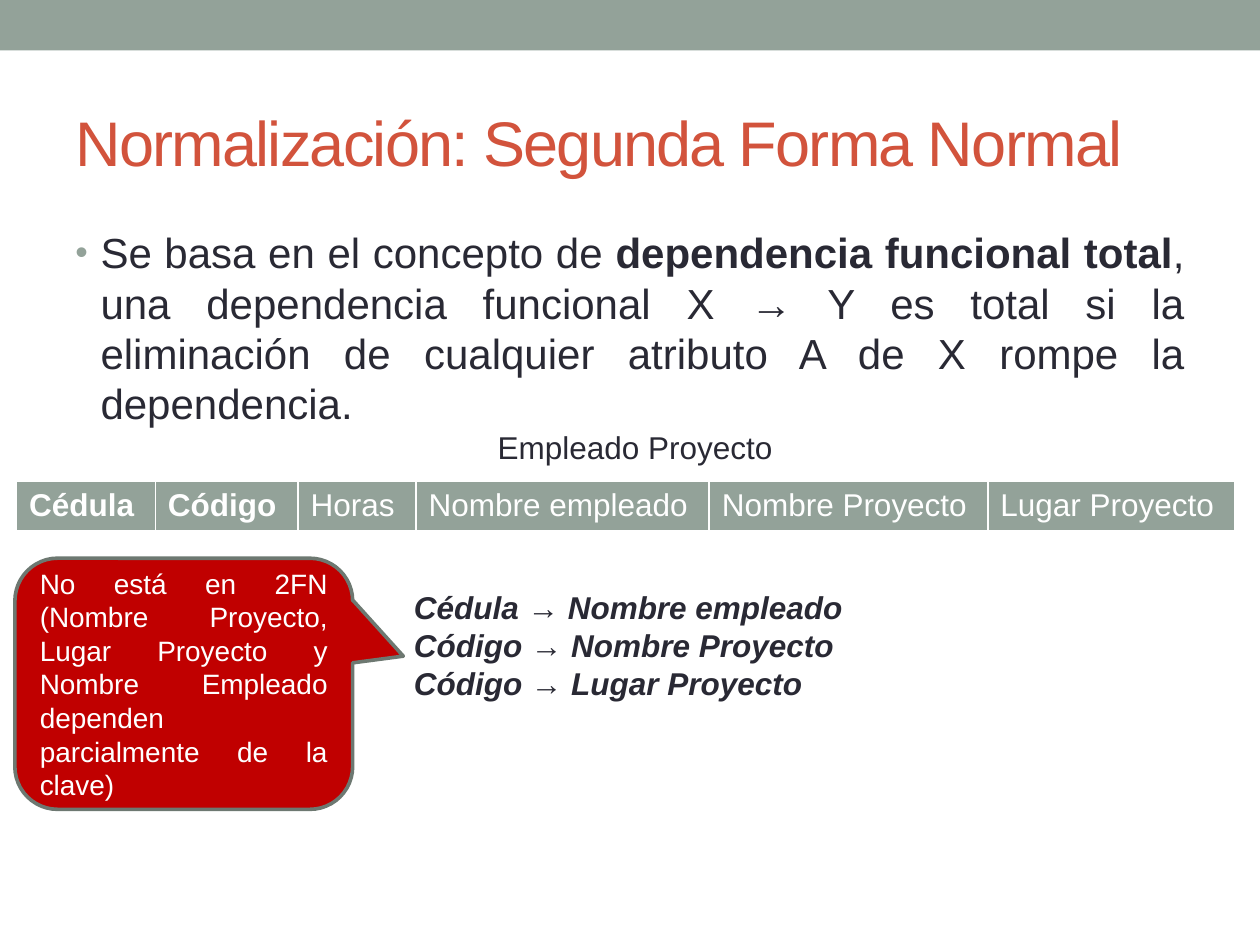
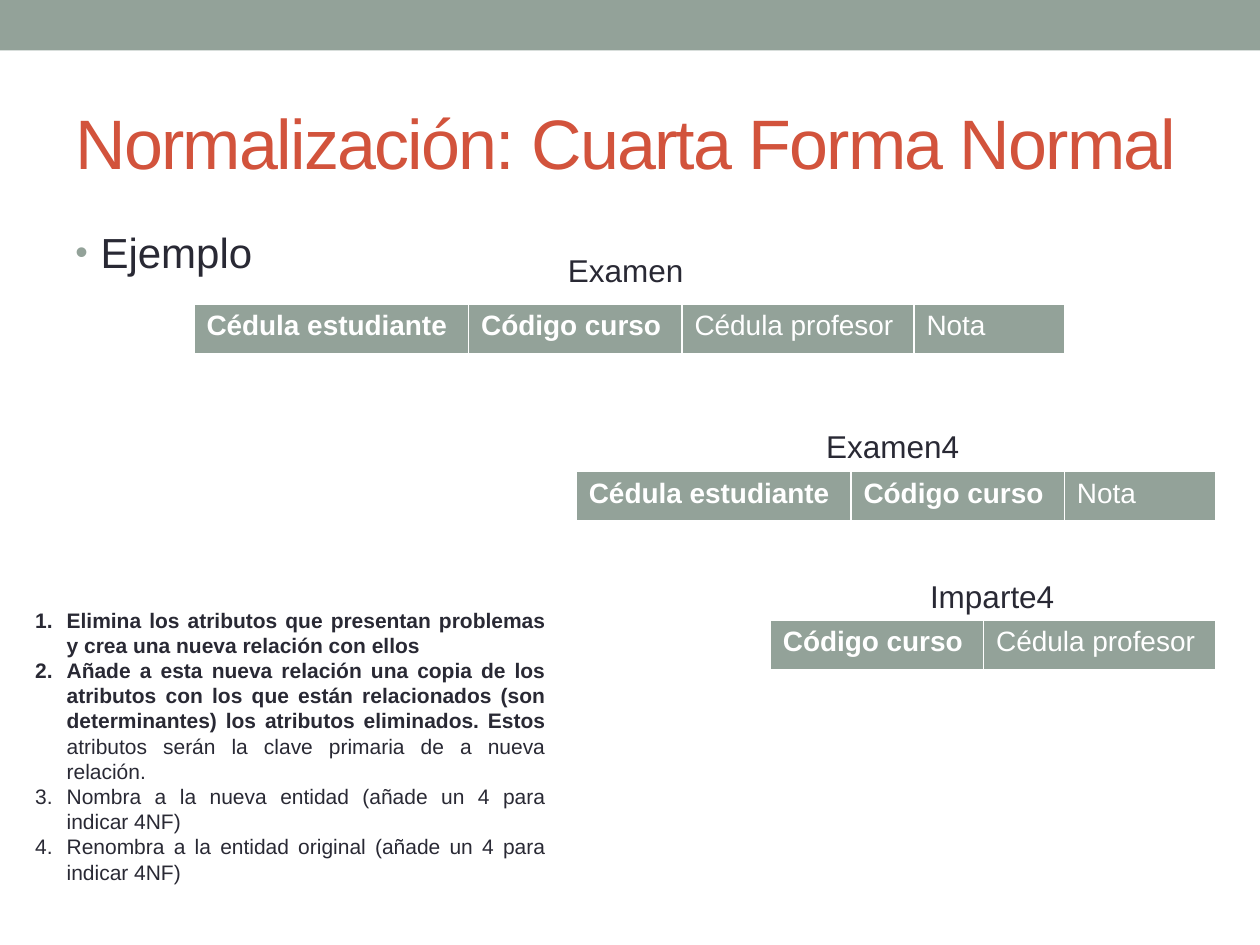
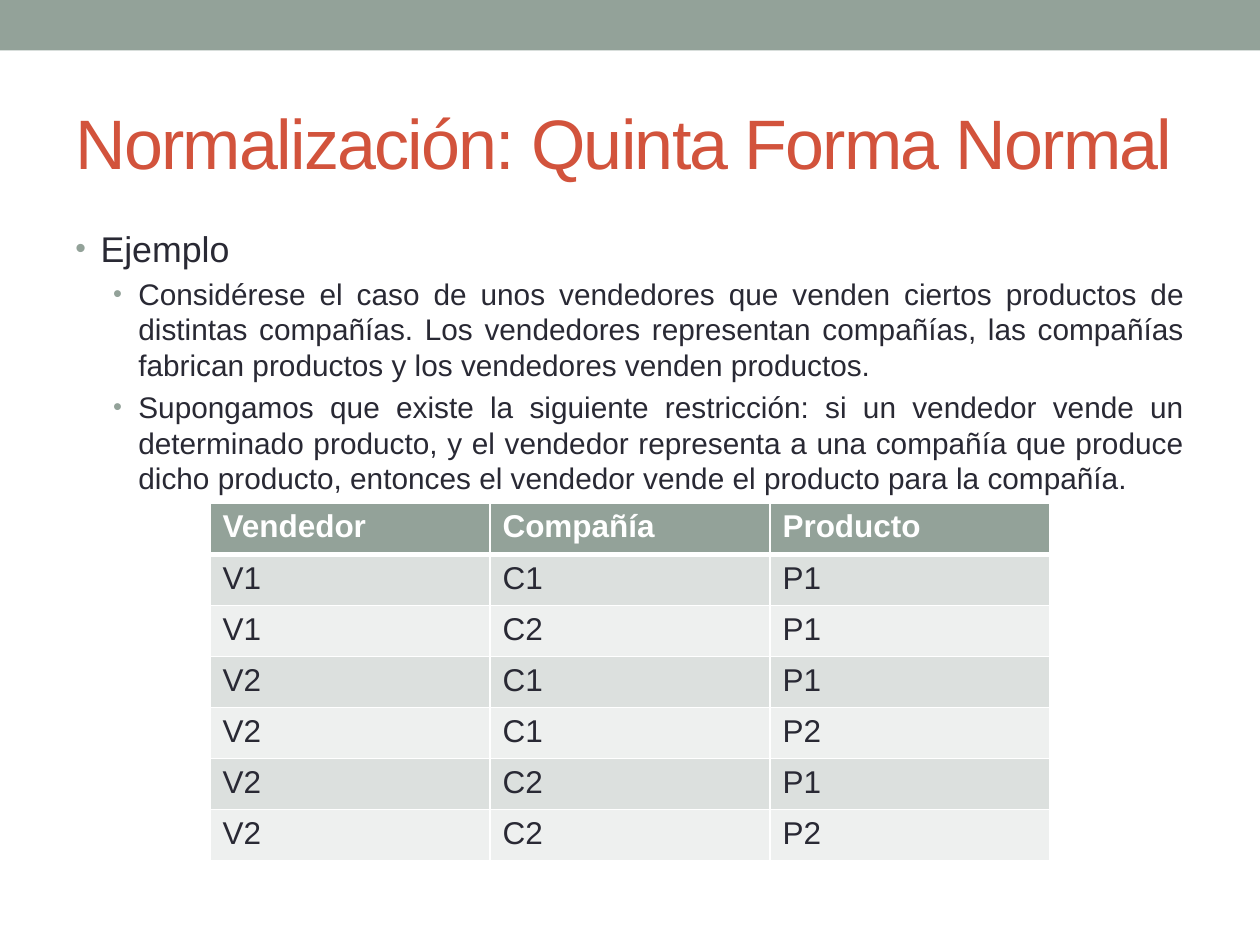
from dataclasses import dataclass

from lxml.etree import SubElement
from pptx import Presentation
from pptx.dml.color import RGBColor
from pptx.enum.shapes import MSO_SHAPE
from pptx.enum.text import MSO_ANCHOR, PP_ALIGN
from pptx.oxml.ns import qn
from pptx.util import Pt


@dataclass(frozen=True)
class Theme:
    """Colours, font and type sizes shared by every slide."""
    sage: str = "93A299"
    sage_outline: str = "6D7871"
    row_dark: str = "DCE0DE"
    row_light: str = "EEF0EF"
    brick: str = "D2533C"
    warning: str = "C00000"
    ink: str = "292934"
    white: str = "FFFFFF"
    font: str = "Arial"
    title: float = 40
    long_title: float = 36
    body: float = 24
    compact_body: float = 20.4
    compact_detail: float = 17
    label: float = 18
    small: float = 16
    steps: float = 12


THEME = Theme()
SLIDE_WIDTH, SLIDE_HEIGHT = 720, 540
ROW_HEIGHT = 29.2
BODY_FRAME = (36, 126, 648, 384)

STUDENT = ("Cédula estudiante", 157, True)
COURSE = ("Código curso", 121.9, True)
TEACHER = ("Cédula profesor", 132.6, False)
GRADE = ("Nota", 86.3, False)
EMPLOYEE_PROJECT = [
    ("Cédula", 79.3, True),
    ("Código", 81.5, True),
    ("Horas", 67.5, False),
    ("Nombre empleado", 167.5, False),
    ("Nombre Proyecto", 159.2, False),
    ("Lugar Proyecto", 141.2, False),
]
SALES = [
    ("V1", "C1", "P1"),
    ("V1", "C2", "P1"),
    ("V2", "C1", "P1"),
    ("V2", "C1", "P2"),
    ("V2", "C2", "P1"),
    ("V2", "C2", "P2"),
]


def colour(value):
    """Turn a hex string into a colour."""
    return RGBColor.from_string(value)


def add_span(para, text, size, ink=THEME.ink, bold=False, italic=False):
    """Append one formatted run."""
    span = para.add_run()
    span.text = text
    span.font.name = THEME.font
    span.font.size = Pt(size)
    span.font.bold = bold
    span.font.italic = italic
    span.font.color.rgb = colour(ink)
    return span


def add_box(page, frame):
    """Add a wrapping text box and return its text frame."""
    box = page.shapes.add_textbox(*map(Pt, frame))
    box.text_frame.word_wrap = True
    return box.text_frame


def next_para(text_frame):
    """Return the unused first paragraph, or a new one."""
    first = text_frame.paragraphs[0]
    return text_frame.add_paragraph() if first.runs else first


def hang(para, indent, hanging):
    """Set a hanging indent and return the paragraph properties."""
    properties = para._p.get_or_add_pPr()
    properties.set("marL", str(Pt(indent)))
    properties.set("indent", str(-Pt(hanging)))
    return properties


def add_bullet(text_frame, spans, size, indent=14.4):
    """Add a justified bullet made of (text, bold) spans."""
    para = next_para(text_frame)
    para.alignment = PP_ALIGN.JUSTIFY
    para.space_before = Pt(round(size * 0.2, 1))
    properties = hang(para, indent, 14.4)
    marker_colour = SubElement(properties, qn("a:buClr"))
    SubElement(marker_colour, qn("a:srgbClr"), val=THEME.sage)
    SubElement(properties, qn("a:buSzPct"), val="85000")
    SubElement(properties, qn("a:buFont"), typeface=THEME.font)
    SubElement(properties, qn("a:buChar"), char="•")
    for text, bold in spans:
        add_span(para, text, size, bold=bold)


def add_steps(page, frame, steps):
    """Add a numbered list whose steps are lists of (text, bold) spans."""
    text_frame = add_box(page, frame)
    for spans in steps:
        para = next_para(text_frame)
        para.alignment = PP_ALIGN.JUSTIFY
        properties = hang(para, 18, 18)
        SubElement(properties, qn("a:buFont"), typeface=THEME.font)
        SubElement(properties, qn("a:buAutoNum"), type="arabicPeriod")
        for text, bold in spans:
            add_span(para, text, THEME.steps, bold=bold)


def add_page(deck, title, size=THEME.title):
    """Add a blank slide with the top band and a title."""
    page = deck.slides.add_slide(deck.slide_layouts[6])
    band = page.shapes.add_shape(
        MSO_SHAPE.RECTANGLE, 0, 0, Pt(SLIDE_WIDTH), Pt(28.8))
    band.shadow.inherit = False
    band.fill.solid()
    band.fill.fore_color.rgb = colour(THEME.sage)
    band.line.fill.background()
    text_frame = add_box(page, (36, 42, 648, 78))
    text_frame.vertical_anchor = MSO_ANCHOR.MIDDLE
    span = add_span(text_frame.paragraphs[0], title, size, THEME.brick)
    span.font._element.set("spc", "-100")
    return page


def add_caption(page, text, left, top, width):
    """Add the centred name of a relation."""
    para = add_box(page, (left, top, width, 29)).paragraphs[0]
    para.alignment = PP_ALIGN.CENTER
    add_span(para, text, THEME.label)


def style_cell(cell, text, size, fill, ink, bold=False, top=1, bottom=1):
    """Write one cell with its fill and white borders."""
    properties = cell._tc.get_or_add_tcPr()
    for side, width in (("L", 1), ("R", 1), ("T", top), ("B", bottom)):
        border = SubElement(properties, qn(f"a:ln{side}"), w=str(Pt(width)))
        border_fill = SubElement(border, qn("a:solidFill"))
        SubElement(border_fill, qn("a:srgbClr"), val=THEME.white)
    cell.fill.solid()
    cell.fill.fore_color.rgb = colour(fill)
    add_span(cell.text_frame.paragraphs[0], text, size, ink, bold)


def add_relation(page, left, top, columns, size=THEME.small, rows=()):
    """Add a table from (name, width, bold) columns and optional rows."""
    count = len(rows) + 1
    total = sum(width for _, width, _ in columns)
    table = page.shapes.add_table(
        count, len(columns), Pt(left), Pt(top), Pt(total),
        Pt(ROW_HEIGHT * count)).table
    for row in table.rows:
        row.height = Pt(ROW_HEIGHT)
    for index, (name, width, bold) in enumerate(columns):
        table.columns[index].width = Pt(width)
        style_cell(table.cell(0, index), name, size, THEME.sage,
                   THEME.white, bold, bottom=3)
    for line, values in enumerate(rows, 1):
        fill = THEME.row_dark if line % 2 else THEME.row_light
        for index, value in enumerate(values):
            style_cell(table.cell(line, index), value, size, fill,
                       THEME.ink, top=3 if line == 1 else 1)


def add_callout(page, frame, text):
    """Add the red warning callout pointing right."""
    callout = page.shapes.add_shape(
        MSO_SHAPE.ROUNDED_RECTANGULAR_CALLOUT, *map(Pt, frame))
    callout.shadow.inherit = False
    for index, value in enumerate((0.65, -0.11, 0.17)):
        callout.adjustments[index] = value
    callout.fill.solid()
    callout.fill.fore_color.rgb = colour(THEME.warning)
    callout.line.color.rgb = colour(THEME.sage_outline)
    callout.line.width = Pt(2.08)
    callout.text_frame.word_wrap = True
    callout.text_frame.vertical_anchor = MSO_ANCHOR.MIDDLE
    para = callout.text_frame.paragraphs[0]
    para.alignment = PP_ALIGN.JUSTIFY
    add_span(para, text, THEME.small, THEME.white)


def add_dependencies(page, frame, dependencies):
    """List functional dependencies, one a line."""
    text_frame = add_box(page, frame)
    for source, target in dependencies:
        add_span(next_para(text_frame), f"{source} → {target}",
                 THEME.label, bold=True, italic=True)


def build_second_form(deck):
    """Build the slide on the second normal form."""
    page = add_page(deck, "Normalización: Segunda Forma Normal",
                    THEME.long_title)
    add_bullet(add_box(page, BODY_FRAME), [
        ("Se basa en el concepto de ", False),
        ("dependencia funcional total", True),
        (", una dependencia funcional X → Y es total si la eliminación de "
         "cualquier atributo A de X rompe la dependencia.", False),
    ], THEME.body)
    add_relation(page, 9.5, 275.2, EMPLOYEE_PROJECT, THEME.label)
    add_caption(page, "Empleado Proyecto", 269.3, 241.2, 187.2)
    add_dependencies(page, (229.5, 332.6, 266.4, 72.7), [
        ("Cédula", "Nombre empleado"),
        ("Código", "Nombre Proyecto"),
        ("Código", "Lugar Proyecto"),
    ])
    add_callout(page, (8.5, 319, 193, 143.5),
                "No está en 2FN (Nombre Proyecto, Lugar Proyecto y Nombre "
                "Empleado dependen parcialmente de la clave)")


def build_fourth_form(deck):
    """Build the slide on the fourth normal form."""
    page = add_page(deck, "Normalización: Cuarta Forma Normal")
    add_bullet(add_box(page, BODY_FRAME), [("Ejemplo", False)], THEME.body)
    relations = [
        ("Examen", 247, 139.7, 110.8, 174,
         [STUDENT, COURSE, TEACHER, GRADE]),
        ("Examen4", 399.6, 240.5, 329.3, 269.5, [STUDENT, COURSE, GRADE]),
        ("Imparte4", 456.5, 326.2, 440.2, 354.5, [COURSE, TEACHER]),
    ]
    for name, caption_left, caption_top, left, top, columns in relations:
        add_caption(page, name, caption_left, caption_top, 221)
        add_relation(page, left, top, columns)
    add_steps(page, (13, 343.4, 306, 181.4), [
        [("Elimina los atributos que presentan problemas y crea una nueva "
          "relación con ellos", True)],
        [("Añade a esta nueva relación una copia de los atributos con los "
          "que están relacionados (son determinantes) los atributos "
          "eliminados. Estos ", True),
         ("atributos serán la clave primaria de a nueva relación.", False)],
        [("Nombra a la nueva entidad (añade un 4 para indicar 4NF)", False)],
        [("Renombra a la entidad original (añade un 4 para indicar 4NF)",
          False)],
    ])


def build_fifth_form(deck):
    """Build the slide on the fifth normal form."""
    page = add_page(deck, "Normalización: Quinta Forma Normal")
    body = add_box(page, (36, 126, 648, 177.8))
    add_bullet(body, [("Ejemplo", False)], THEME.compact_body)
    details = [
        "Considérese el caso de unos vendedores que venden ciertos productos "
        "de distintas compañías. Los vendedores representan compañías, las "
        "compañías fabrican productos y los vendedores venden productos.",
        "Supongamos que existe la siguiente restricción: si un vendedor "
        "vende un determinado producto, y el vendedor representa a una "
        "compañía que produce dicho producto, entonces el vendedor vende el "
        "producto para la compañía.",
    ]
    for detail in details:
        add_bullet(body, [(detail, False)], THEME.compact_detail, indent=36)
    columns = [(name, 160, True)
               for name in ("Vendedor", "Compañía", "Producto")]
    add_relation(page, 120, 287.5, columns, THEME.label, SALES)


def main():
    """Build and save the deck."""
    deck = Presentation()
    deck.slide_width = Pt(SLIDE_WIDTH)
    deck.slide_height = Pt(SLIDE_HEIGHT)
    build_second_form(deck)
    build_fourth_form(deck)
    build_fifth_form(deck)
    deck.save("out.pptx")


if __name__ == "__main__":
    main()
